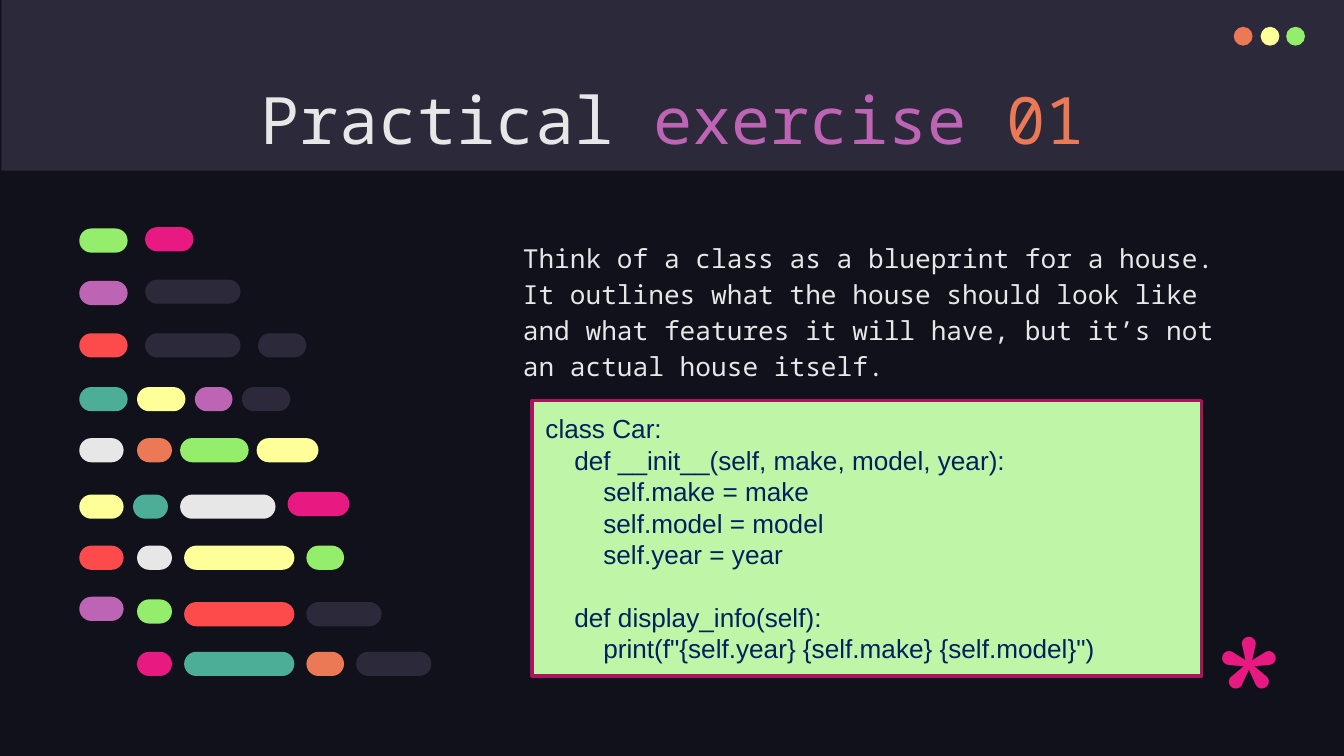
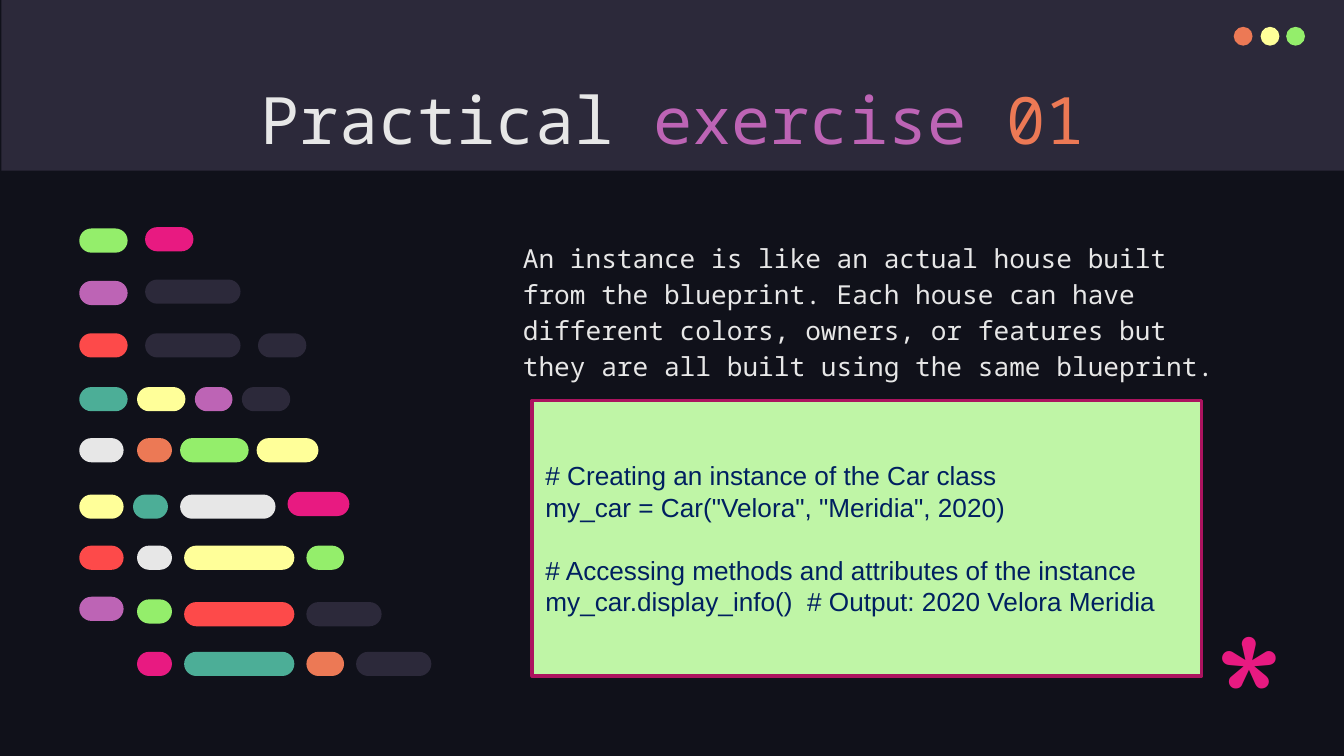
"""Builds two slides that explain a class and an instance in code."""
import pptx
import pptx.util
import pptx.dml.color
import pptx.enum.shapes
import pptx.enum.text

Inches, Pt = pptx.util.Inches, pptx.util.Pt
RGBColor = pptx.dml.color.RGBColor
SHAPE = pptx.enum.shapes.MSO_SHAPE
ALIGN = pptx.enum.text.PP_ALIGN
ANCHOR = pptx.enum.text.MSO_ANCHOR

NIGHT = RGBColor(0x10, 0x11, 0x1A)
SLATE = RGBColor(0x2C, 0x29, 0x3A)
WHITE = RGBColor(0xE7, 0xE7, 0xE7)
PURPLE = RGBColor(0xBD, 0x64, 0xB5)
ORANGE = RGBColor(0xEC, 0x79, 0x55)
YELLOW = RGBColor(0xFF, 0xFF, 0x99)
GREEN = RGBColor(0x94, 0xEE, 0x6B)
PINK = RGBColor(0xE8, 0x1A, 0x81)
RED = RGBColor(0xFD, 0x4A, 0x4A)
TEAL = RGBColor(0x4C, 0xAE, 0x97)
MINT = RGBColor(0xBF, 0xF5, 0xA6)
CRIMSON = RGBColor(0xAC, 0x13, 0x5F)
NAVY = RGBColor(0x00, 0x20, 0x60)

MONO, SANS, ROUND = "Noto Sans Mono", "Arial", "Comfortaa"
WIDTH = 10
HEIGHT = WIDTH * 9 / 16

TITLE = [("Practical ", WHITE), ("exercise ", PURPLE), ("01", ORANGE)]

SLIDES = [
    {
        "body": "Think of a class as a blueprint for a house. It outlines what the house "
                "should look like and what features it will have, but it’s not an actual "
                "house itself.",
        "code": [
            [
                (0, "class Car:"),
                (1, "def __init__(self, make, model, year):"),
                (2, "self.make = make"),
                (2, "self.model = model"),
                (2, "self.year = year"),
            ],
            [
                (1, "def display_info(self):"),
                (2, 'print(f"{self.year} {self.make} {self.model}")'),
            ],
        ],
    },
    {
        "body": "An instance is like an actual house built from the blueprint. Each house "
                "can have different colors, owners, or features but they are all built "
                "using the same blueprint.",
        "code": [
            [
                (0, "# Creating an instance of the Car class"),
                (0, 'my_car = Car("Velora", "Meridia", 2020)'),
            ],
            [
                (0, "# Accessing methods and attributes of the instance"),
                (0, "my_car.display_info()  # Output: 2020 Velora Meridia"),
            ],
        ],
    },
]

DOTS = [(9.18, ORANGE), (9.38, YELLOW), (9.57, GREEN)]
DOT_TOP, DOT_SIZE = 0.2, 0.14

PILL_HEIGHT = 0.18
PILL_ROWS = [
    (1.7, [(0.59, 0.36, GREEN), (1.08, 0.36, PINK, -0.01)]),
    (2.09, [(0.59, 0.36, PURPLE), (1.08, 0.71, SLATE, -0.01)]),
    (2.48, [(0.59, 0.36, RED), (1.08, 0.71, SLATE), (1.92, 0.36, SLATE)]),
    (2.88, [(0.59, 0.36, TEAL), (1.02, 0.36, YELLOW), (1.45, 0.28, PURPLE),
            (1.8, 0.36, SLATE)]),
    (3.26, [(0.59, 0.33, WHITE), (1.02, 0.26, ORANGE), (1.34, 0.51, GREEN),
            (1.91, 0.46, YELLOW)]),
    (3.68, [(0.59, 0.33, YELLOW), (0.99, 0.26, TEAL), (1.34, 0.71, WHITE),
            (2.14, 0.46, PINK, -0.02)]),
    (4.06, [(0.59, 0.33, RED), (1.02, 0.26, WHITE), (1.37, 0.82, YELLOW),
            (2.28, 0.28, GREEN)]),
    (4.46, [(0.59, 0.33, PURPLE, -0.02), (1.02, 0.26, GREEN), (1.37, 0.82, RED, 0.02),
            (2.28, 0.56, SLATE, 0.02)]),
    (4.85, [(1.02, 0.26, PINK), (1.37, 0.82, TEAL), (2.28, 0.28, ORANGE),
            (2.65, 0.56, SLATE)]),
]

BAND_BOX = (0.01, 0, WIDTH, 1.27)
TITLE_BOX = (0.79, 0.49, 8.43, 0.63)
BODY_BOX = (3.79, 1.67, 5.43, 1.31)
STAR_BOX = (8.94, 4.35, 0.57, 0.87)
CODE_BOX = (3.96, 2.98, 4.98, 2.05)
CODE_INDENT = Pt(15.5)
CODE_GAP = Pt(16.8)


def add_shape(shapes, kind, box, fill, line=None):
    sp = shapes.add_shape(kind, *map(Inches, box))
    sp.shadow.inherit = False
    sp.fill.solid()
    sp.fill.fore_color.rgb = fill
    if line is None:
        sp.line.fill.background()
    else:
        sp.line.color.rgb = line
        sp.line.width = Pt(2)
    return sp


def set_font(font, name, size, color=None):
    font.name, font.size, font.bold = name, Pt(size), False
    if color is not None:
        font.color.rgb = color


def prepare(tf):
    tf.word_wrap = True
    tf.auto_size = pptx.enum.text.MSO_AUTO_SIZE.NONE
    tf.vertical_anchor = ANCHOR.TOP
    tf.margin_left = tf.margin_right = tf.margin_top = tf.margin_bottom = Inches(0.1)
    return tf


def place(sp, box):
    sp.left, sp.top, sp.width, sp.height = map(Inches, box)
    return prepare(sp.text_frame)


def add_header(s):
    add_shape(s.shapes, SHAPE.RECTANGLE, BAND_BOX, SLATE)
    dots = s.shapes.add_group_shape().shapes
    for left, color in DOTS:
        add_shape(dots, SHAPE.OVAL, (left, DOT_TOP, DOT_SIZE, DOT_SIZE), color)


def add_title(s):
    title = s.shapes.title
    s.shapes._spTree.append(title._element)
    p = place(title, TITLE_BOX).paragraphs[0]
    p.alignment = ALIGN.CENTER
    set_font(p.font, MONO, 35)
    for text, color in TITLE:
        r = p.add_run()
        r.text = text
        set_font(r.font, MONO, 35, color)


def add_pills(s):
    pills = s.shapes.add_group_shape().shapes
    for top, row in PILL_ROWS:
        for left, width, color, *shift in row:
            box = (left, top + sum(shift), width, PILL_HEIGHT)
            sp = add_shape(pills, SHAPE.ROUNDED_RECTANGLE, box, color)
            sp.adjustments[0] = 0.5


def add_body(s, text):
    body = s.placeholders[1]
    s.shapes._spTree.append(body._element)
    p = place(body, BODY_BOX).paragraphs[0]
    p.text = text
    p.alignment = ALIGN.LEFT
    p.line_spacing = 1.15
    p.space_before = Pt(0)
    set_font(p.font, MONO, 14, WHITE)


def add_star(s):
    tf = prepare(s.shapes.add_textbox(*map(Inches, STAR_BOX)).text_frame)
    p = tf.paragraphs[0]
    p.text = "*"
    set_font(p.font, ROUND, 96, PINK)


def add_code(s, blocks):
    tf = add_shape(s.shapes, SHAPE.RECTANGLE, CODE_BOX, MINT, CRIMSON).text_frame
    tf.word_wrap = True
    tf.vertical_anchor = ANCHOR.MIDDLE
    p = tf.paragraphs[0]
    for b, block in enumerate(blocks):
        for i, (level, text) in enumerate(block):
            if b or i:
                p = tf.add_paragraph()
            p.text = text
            p.alignment = ALIGN.LEFT
            p._p.get_or_add_pPr().set("marL", str(level * CODE_INDENT))
            if b and i == 0:
                p.space_before = CODE_GAP
            set_font(p.font, SANS, 14, NAVY)


def main():
    prs = pptx.Presentation()
    prs.slide_width, prs.slide_height = Inches(WIDTH), Inches(HEIGHT)
    fill = prs.slide_master.background.fill
    fill.solid()
    fill.fore_color.rgb = NIGHT
    for content in SLIDES:
        s = prs.slides.add_slide(prs.slide_layouts[0])
        add_header(s)
        add_title(s)
        add_pills(s)
        add_body(s, content["body"])
        add_star(s)
        add_code(s, content["code"])
    prs.save("out.pptx")


if __name__ == "__main__":
    main()
